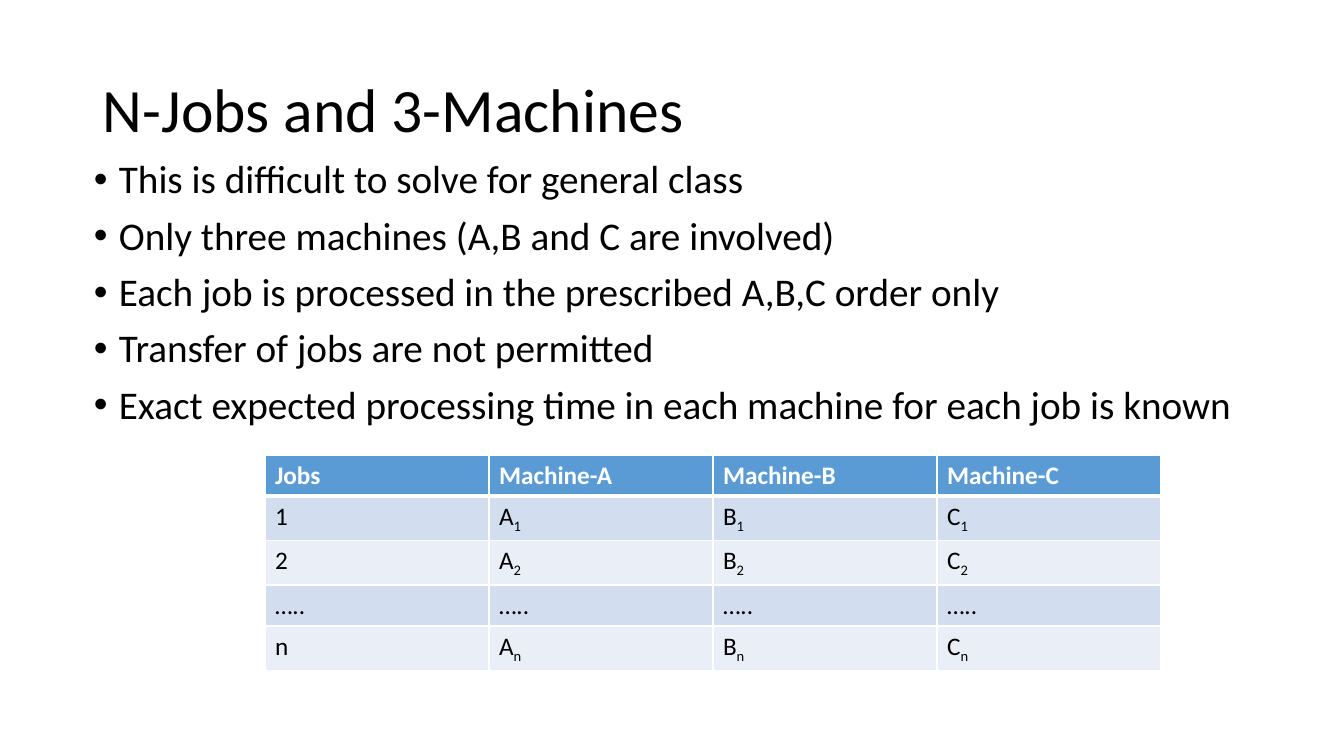
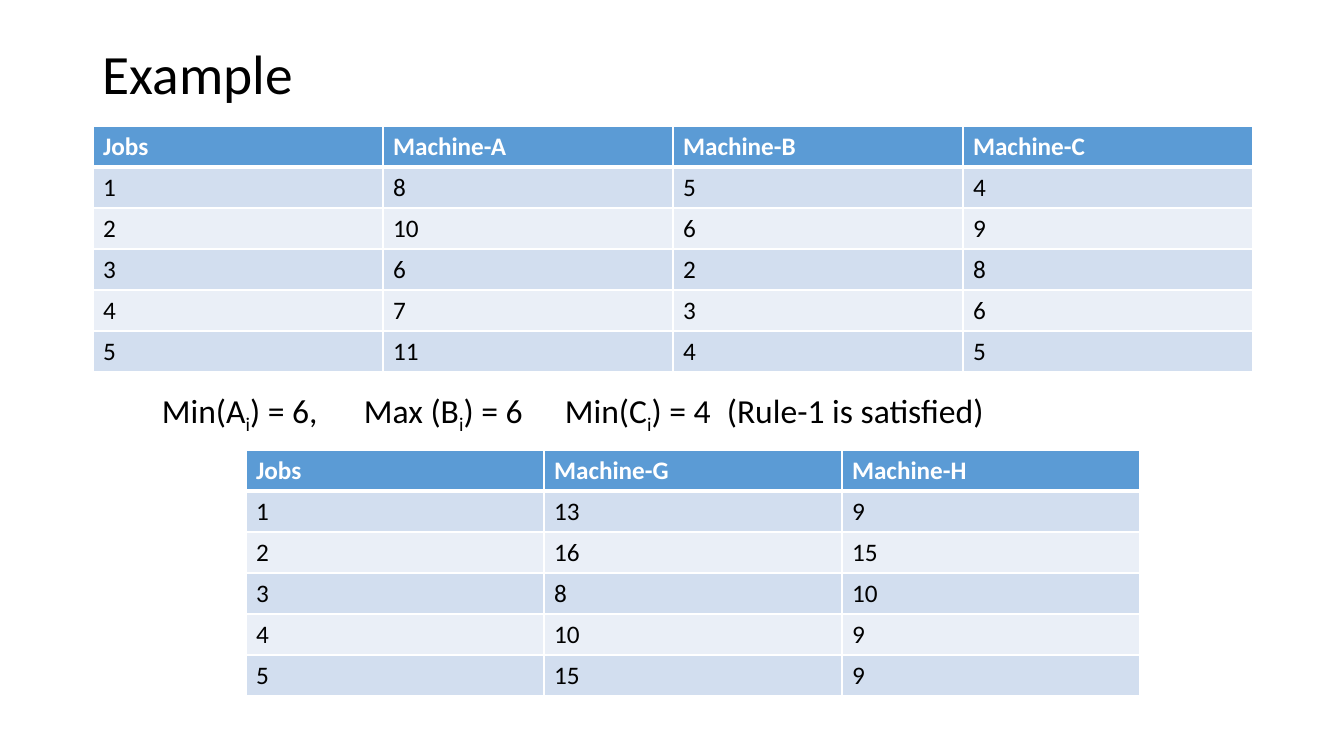
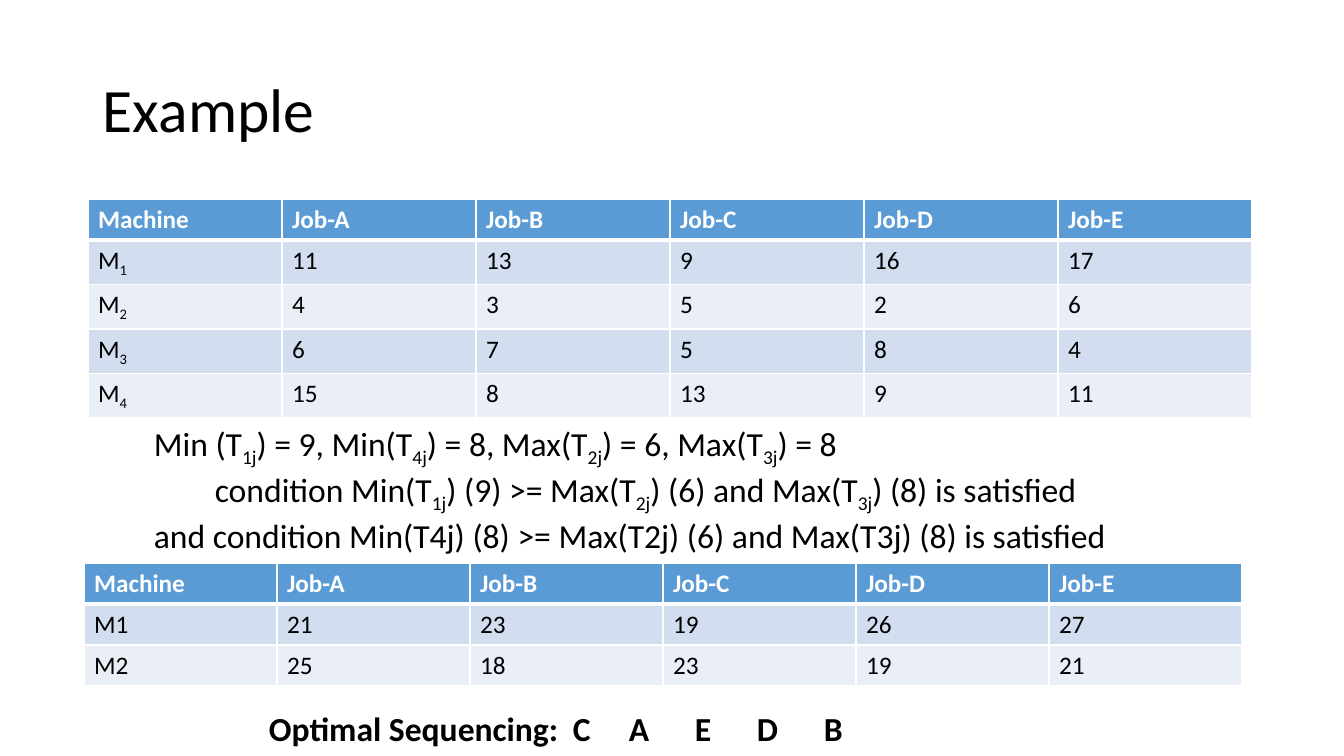
from lxml import etree
from pptx import Presentation
from pptx import util as u
from pptx.dml.color import RGBColor
from pptx.enum import text
from pptx.oxml import ns

PX = 9071
FONT = "Calibri"
BLACK, WHITE = "000000", "FFFFFF"
HEADER, BANDS = "5B9BD5", ("D2DEEF", "EAEFF7")
ROW_HEIGHT = 41


def color(value):
    return RGBColor.from_string(value)


def write(paragraph, marked, size, ink=BLACK, bold=False):
    for index, part in enumerate(marked.split("~")):
        if not part:
            continue
        run = paragraph.add_run()
        run.text = part
        run.font.name = FONT
        run.font.size = u.Pt(size)
        run.font.bold = bold
        run.font.color.rgb = color(ink)
        if index % 2:
            run.font._element.set("baseline", "-25000")


machines = ["Jobs", "Machine-A", "Machine-B", "Machine-C"]
jobs = ["Machine", "Job-A", "Job-B", "Job-C", "Job-D", "Job-E"]

slides = [
    {
        "title": ("N-Jobs and 3-Machines", 146, 44),
        "bullets": [
            "This is difficult to solve for general class",
            "Only three machines (A,B and C are involved)",
            "Each job is processed in the prescribed A,B,C order only",
            "Transfer of jobs are not permitted",
            "Exact expected processing time in each machine for each job is known",
        ],
        "tables": [
            (265, 455, 224, [
                machines,
                ["1", "A~1~", "B~1~", "C~1~"],
                ["2", "A~2~", "B~2~", "C~2~"],
                ["….."] * 4,
                ["n", "A~n~", "B~n~", "C~n~"],
            ]),
        ],
        "notes": [],
    },
    {
        "title": ("Example", 73, 39.6),
        "bullets": [],
        "tables": [
            (93, 126, 290, [
                machines,
                [1, 8, 5, 4],
                [2, 10, 6, 9],
                [3, 6, 2, 8],
                [4, 7, 3, 6],
                [5, 11, 4, 5],
            ]),
            (246, 450, 298, [
                ["Jobs", "Machine-G", "Machine-H"],
                [1, 13, 9],
                [2, 16, 15],
                [3, 8, 10],
                [4, 10, 9],
                [5, 15, 9],
            ]),
        ],
        "notes": [
            ((152, 385, 844, 50), False, (202, 403, 565), [
                (0, "Min(A~i~) = 6,\tMax (B~i~) = 6\tMin(C~i~) = 4\t(Rule-1 is satisfied)"),
            ]),
        ],
    },
    {
        "title": ("Example", 146, 44),
        "bullets": [],
        "tables": [
            (88, 199, 194, [
                jobs,
                ["M~1~", 11, 13, 9, 16, 17],
                ["M~2~", 4, 3, 5, 2, 6],
                ["M~3~", 6, 7, 5, 8, 4],
                ["M~4~", 15, 8, 13, 9, 11],
            ]),
            (84, 563, 193, [
                jobs,
                ["M1", 21, 23, 19, 26, 27],
                ["M2", 25, 18, 23, 19, 21],
            ]),
        ],
        "notes": [
            ((144, 418, 1039, 132), False, (), [
                (0, "Min (T~1j~) = 9, Min(T~4j~) = 8, Max(T~2j~) = 6, Max(T~3j~) = 8"),
                (61, "condition Min(T~1j~) (9) >= Max(T~2j~) (6) and Max(T~3j~) (8) is satisfied"),
                (0, "and condition Min(T4j) (8) >= Max(T2j) (6) and Max(T3j) (8) is satisfied"),
            ]),
            ((259, 703, 811, 50), True, (304, 360, 426, 488, 555), [
                (0, "Optimal Sequencing:\tC\tA\tE\tD\tB"),
            ]),
        ],
    },
]

deck = Presentation()
deck.slide_width = 1344 * PX
deck.slide_height = 756 * PX

for content in slides:
    slide = deck.slides.add_slide(deck.slide_layouts[6])

    title, title_height, title_size = content["title"]
    heading = slide.shapes.add_textbox(93 * PX, 40 * PX, 1159 * PX, title_height * PX).text_frame
    heading.word_wrap = True
    heading.vertical_anchor = text.MSO_ANCHOR.MIDDLE
    heading.paragraphs[0].line_spacing = 0.9
    write(heading.paragraphs[0], title, title_size)

    if content["bullets"]:
        body = slide.shapes.add_textbox(84 * PX, 155 * PX, 1159 * PX, 480 * PX).text_frame
        body.word_wrap = True
        for index, line in enumerate(content["bullets"]):
            point = body.add_paragraph() if index else body.paragraphs[0]
            point.line_spacing = 0.9
            point.space_before = u.Pt(10)
            write(point, line, 28)
            properties = point._p.get_or_add_pPr()
            properties.set("marL", str(25 * PX))
            properties.set("indent", str(-25 * PX))
            etree.SubElement(properties, ns.qn("a:buFont"), typeface="Arial")
            etree.SubElement(properties, ns.qn("a:buChar"), char="•")

    for left, top, column_width, rows in content["tables"]:
        columns = len(rows[0])
        grid = slide.shapes.add_table(
            len(rows), columns, left * PX, top * PX,
            columns * column_width * PX, len(rows) * ROW_HEIGHT * PX,
        ).table
        for column in grid.columns:
            column.width = column_width * PX
        for r, values in enumerate(rows):
            grid.rows[r].height = ROW_HEIGHT * PX
            for c, value in enumerate(values):
                cell = grid.cell(r, c)
                write(cell.text_frame.paragraphs[0], str(value), 18,
                      BLACK if r else WHITE, r == 0)
                borders = {"lnL": 1, "lnR": 1, "lnT": 3 if r == 1 else 1, "lnB": 1 if r else 3}
                properties = cell._tc.get_or_add_tcPr()
                for side, points in borders.items():
                    border = etree.SubElement(properties, ns.qn("a:" + side), w=str(u.Pt(points)))
                    paint = etree.SubElement(border, ns.qn("a:solidFill"))
                    etree.SubElement(paint, ns.qn("a:srgbClr"), val=WHITE)
                cell.fill.solid()
                cell.fill.fore_color.rgb = color(BANDS[(r - 1) % 2] if r else HEADER)

    for box, bold, stops, lines in content["notes"]:
        note = slide.shapes.add_textbox(*[side * PX for side in box]).text_frame
        note.word_wrap = True
        for index, (indent, line) in enumerate(lines):
            remark = note.add_paragraph() if index else note.paragraphs[0]
            write(remark, line, 24, bold=bold)
            properties = remark._p.get_or_add_pPr()
            properties.set("marL", str(indent * PX))
            if stops:
                tabs = etree.SubElement(properties, ns.qn("a:tabLst"))
                for stop in stops:
                    etree.SubElement(tabs, ns.qn("a:tab"), pos=str(stop * PX), algn="l")

deck.save("out.pptx")
